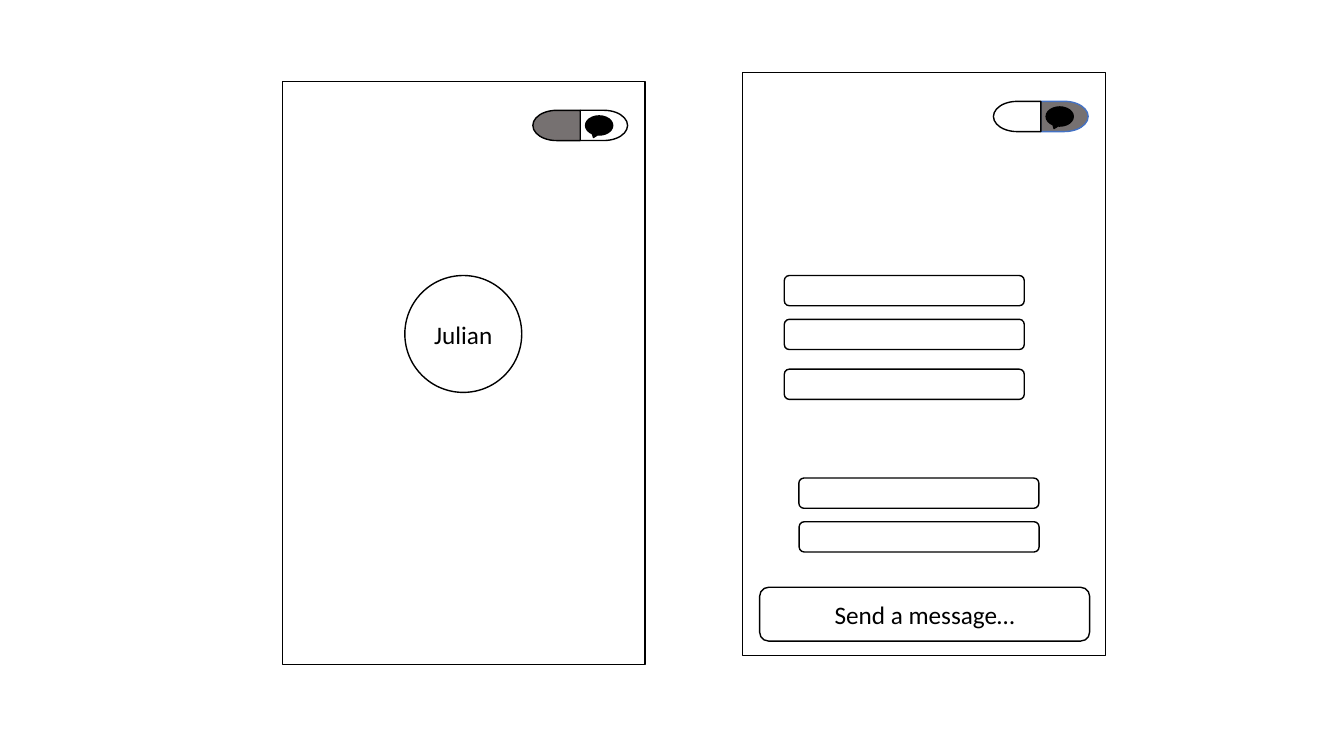
from dataclasses import dataclass

from pptx import Presentation
from pptx import util as u
from pptx.dml.color import RGBColor
from pptx.enum import shapes, text

COLORS = {"white": "FFFFFF", "black": "000000", "gray": "767171", "blue": "4472C4"}
KIND = shapes.MSO_SHAPE
PHONE_WIDTH, PHONE_HEIGHT = 259.2, 416.2
TOGGLE_LEFT, TOGGLE_TOP = 179, 20.5
HALF_WIDTH, HALF_HEIGHT = 33.85, 21.6
BUBBLE_LEFT, BUBBLE_TOP = 216.7, 24.5
BAR_WIDTH, BAR_HEIGHT = 171.4, 21.6


@dataclass
class Phone:
    left: float
    top: float
    left_fill: str
    right_fill: str
    right_line: str


@dataclass
class Bar:
    left: float
    top: float


PHONES = [
    Phone(201.6, 58.3, "gray", "white", "black"),
    Phone(530.6, 51.9, "white", "gray", "blue"),
]
BARS = [
    Bar(560.2, 196.8),
    Bar(560.2, 228.1),
    Bar(560.2, 263.7),
    Bar(570.6, 341.5),
    Bar(570.8, 372.7),
]


def color(name: str) -> RGBColor:
    return RGBColor.from_string(COLORS[name])


def draw_shape(page, kind, left: float, top: float, width: float, height: float,
               fill: str = "white", line: str = "black", label: str = ""):
    shape = page.shapes.add_shape(kind, u.Pt(left), u.Pt(top), u.Pt(width), u.Pt(height))
    shape.shadow.inherit = False
    shape.fill.solid()
    shape.fill.fore_color.rgb = color(fill)
    shape.line.color.rgb = color(line)
    shape.line.width = u.Pt(1)
    if label:
        frame = shape.text_frame
        frame.text = label
        frame.vertical_anchor = text.MSO_ANCHOR.MIDDLE
        para = frame.paragraphs[0]
        para.alignment = text.PP_ALIGN.CENTER
        span = para.runs[0]
        span.font.name = "Calibri"
        span.font.size = u.Pt(18)
        span.font.color.rgb = color("black")
    return shape


def draw_phone(page, phone: Phone) -> None:
    draw_shape(page, KIND.RECTANGLE, phone.left, phone.top, PHONE_WIDTH, PHONE_HEIGHT)
    left, top = phone.left + TOGGLE_LEFT, phone.top + TOGGLE_TOP
    draw_shape(page, KIND.FLOWCHART_DELAY, left + HALF_WIDTH, top, HALF_WIDTH, HALF_HEIGHT,
               phone.right_fill, phone.right_line)
    left_half = draw_shape(page, KIND.FLOWCHART_DELAY, left, top, HALF_WIDTH, HALF_HEIGHT,
                           phone.left_fill)
    left_half.rotation = 180
    draw_shape(page, KIND.OVAL_CALLOUT, phone.left + BUBBLE_LEFT, phone.top + BUBBLE_TOP,
               19.4, 13.7, "black")


def draw_bar(page, bar: Bar) -> None:
    draw_shape(page, KIND.FLOWCHART_ALTERNATE_PROCESS, bar.left, bar.top, BAR_WIDTH, BAR_HEIGHT)


def main() -> None:
    deck = Presentation()
    deck.slide_width, deck.slide_height = u.Pt(960), u.Pt(540)
    page = deck.slides.add_slide(deck.slide_layouts[6])
    for phone in PHONES:
        draw_phone(page, phone)
    draw_shape(page, KIND.OVAL, 289.2, 196.8, 83.5, 83.5, label="Julian")
    for bar in BARS:
        draw_bar(page, bar)
    draw_shape(page, KIND.FLOWCHART_ALTERNATE_PROCESS, 542.6, 419.5, 235.7, 38.4,
               label="Send a message…")
    deck.save("out.pptx")


if __name__ == "__main__":
    main()
